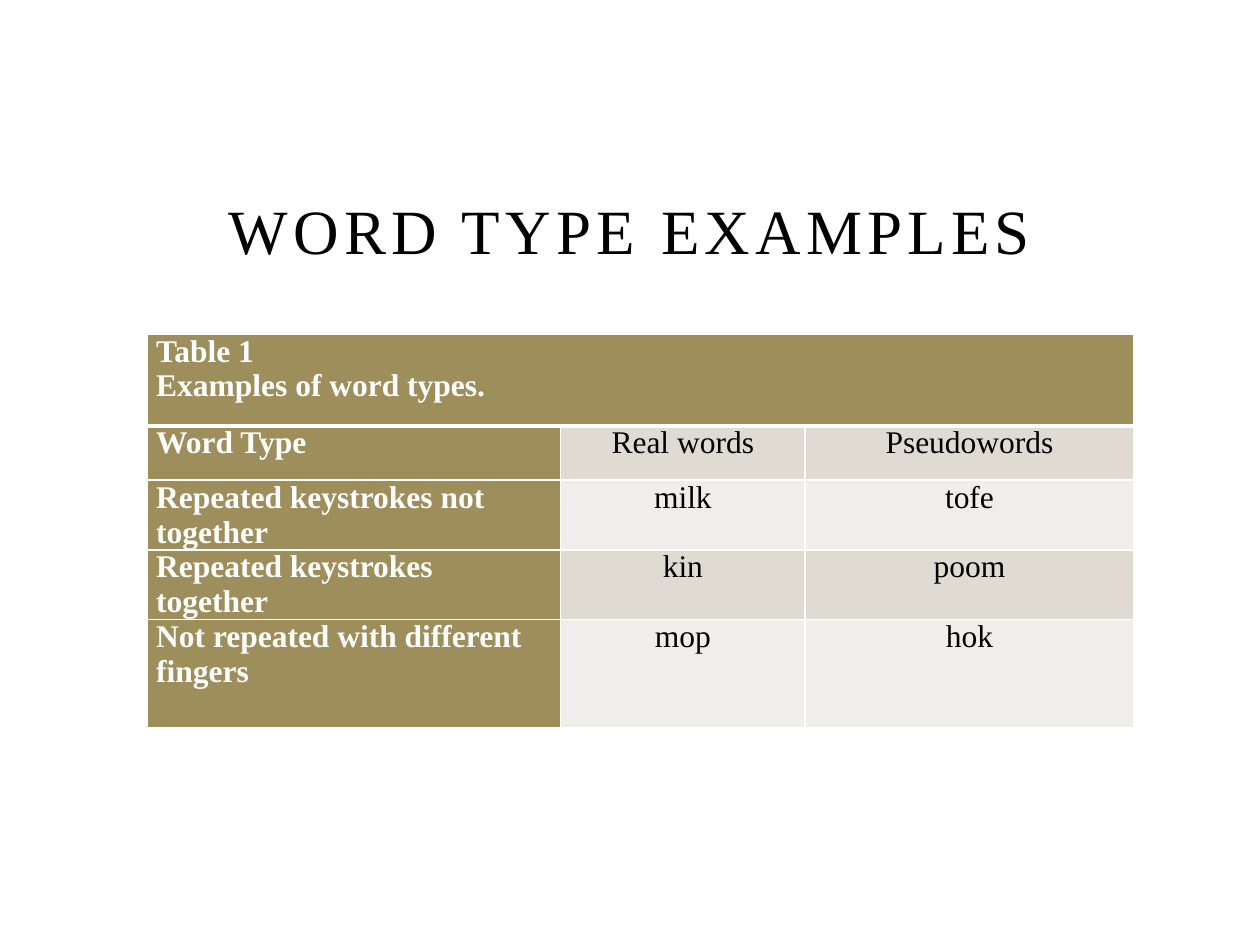
from lxml import etree
from pptx import Presentation
from pptx.dml.color import RGBColor
from pptx.enum.text import MSO_ANCHOR, MSO_AUTO_SIZE, PP_ALIGN
from pptx.oxml.ns import qn
from pptx.util import Inches, Pt

LEFT, CENTER = PP_ALIGN.LEFT, PP_ALIGN.CENTER
BOTTOM = MSO_ANCHOR.BOTTOM
NO_AUTOFIT = MSO_AUTO_SIZE.NONE
TITLE_ONLY = 5

GRID_COLUMNS, GRID_ROWS = 100, 75
BLACK, WHITE = "000000", "FFFFFF"
OLIVE = "9E8E5C"
BANDS = ["DFDBD2", "F0EEEA"]

CAPTION = ["Table 1", "Examples of word types."]
WORD_TYPES = [
    ("Word Type", "Real words", "Pseudowords"),
    ("Repeated keystrokes not together", "milk", "tofe"),
    ("Repeated keystrokes together", "kin", "poom"),
    ("Not repeated with different fingers", "mop", "hok"),
]
COLUMN_WIDTHS = [32.8, 19.4, 26.1]
ROW_HEIGHTS = [7.3, 4.3, 5.3, 4.3, 8.6]


def rgb(hex_color):
    return RGBColor.from_string(hex_color)


class SlideBuilder:
    """Holds the text style and the current slide, measured in grid units."""

    font = "Times New Roman"
    title_size = 36
    table_size = 18

    def __init__(self, presentation):
        self.unit_x = presentation.slide_width / GRID_COLUMNS
        self.unit_y = presentation.slide_height / GRID_ROWS
        self.slide = presentation.slides.add_slide(presentation.slide_layouts[TITLE_ONLY])

    def x(self, columns):
        return round(columns * self.unit_x)

    def y(self, rows):
        return round(rows * self.unit_y)

    def add_lines(self, frame, lines, size, color, align, bold=False):
        for index, line in enumerate(lines):
            paragraph = frame.paragraphs[0] if index == 0 else frame.add_paragraph()
            paragraph.alignment = align
            run = paragraph.add_run()
            run.text = line
            run.font.name = self.font
            run.font.size = Pt(size)
            run.font.bold = bold
            run.font.color.rgb = rgb(color)

    def title(self, text, left, top, width, height, spacing):
        title = self.slide.shapes.title
        title.left, title.top = self.x(left), self.y(top)
        title.width, title.height = self.x(width), self.y(height)
        frame = title.text_frame
        frame.word_wrap = True
        frame.auto_size = NO_AUTOFIT
        frame.vertical_anchor = BOTTOM
        self.add_lines(frame, [text], self.title_size, BLACK, CENTER)
        run_properties = frame.paragraphs[0].runs[0]._r.get_or_add_rPr()
        run_properties.set("spc", str(spacing * 100))

    def table(self, left, top, widths, heights):
        table = self.slide.shapes.add_table(
            len(heights), len(widths), self.x(left), self.y(top),
            self.x(sum(widths)), self.y(sum(heights))).table
        table.first_row = table.horz_banding = False
        for column, width in zip(table.columns, widths):
            column.width = self.x(width)
        for row, height in zip(table.rows, heights):
            row.height = self.y(height)
        return table

    def borders(self, cell, top=1, bottom=1):
        properties = cell._tc.get_or_add_tcPr()
        for side, width in (("L", 1), ("R", 1), ("T", top), ("B", bottom)):
            line = etree.SubElement(properties, qn(f"a:ln{side}"), w=str(Pt(width)))
            fill = etree.SubElement(line, qn("a:solidFill"))
            etree.SubElement(fill, qn("a:srgbClr"), val=WHITE)

    def cell(self, cell, lines, fill, header=False, top=1, bottom=1):
        self.borders(cell, top, bottom)
        cell.fill.solid()
        cell.fill.fore_color.rgb = rgb(fill)
        cell.margin_left = cell.margin_right = Inches(0.07)
        cell.margin_top = cell.margin_bottom = 0
        color, align = (WHITE, LEFT) if header else (BLACK, CENTER)
        self.add_lines(cell.text_frame, lines, self.table_size, color, align, header)


def main():
    presentation = Presentation()
    presentation.slide_width, presentation.slide_height = Inches(10), Inches(7.5)
    builder = SlideBuilder(presentation)
    builder.title("WORD TYPE EXAMPLES", 15, 14.2, 70, 7.5, spacing=3)

    table = builder.table(11.7, 26.5, COLUMN_WIDTHS, ROW_HEIGHTS)
    last_column = len(COLUMN_WIDTHS) - 1
    table.cell(0, 0).merge(table.cell(0, last_column))
    for column in range(len(COLUMN_WIDTHS)):
        lines = CAPTION if column == 0 else []
        builder.cell(table.cell(0, column), lines, OLIVE, header=True, bottom=3)

    for row, texts in enumerate(WORD_TYPES, start=1):
        for column, text in enumerate(texts):
            header = column == 0
            fill = OLIVE if header else BANDS[(row - 1) % 2]
            builder.cell(table.cell(row, column), [text], fill, header,
                         top=3 if row == 1 else 1)

    presentation.save("out.pptx")


if __name__ == "__main__":
    main()
